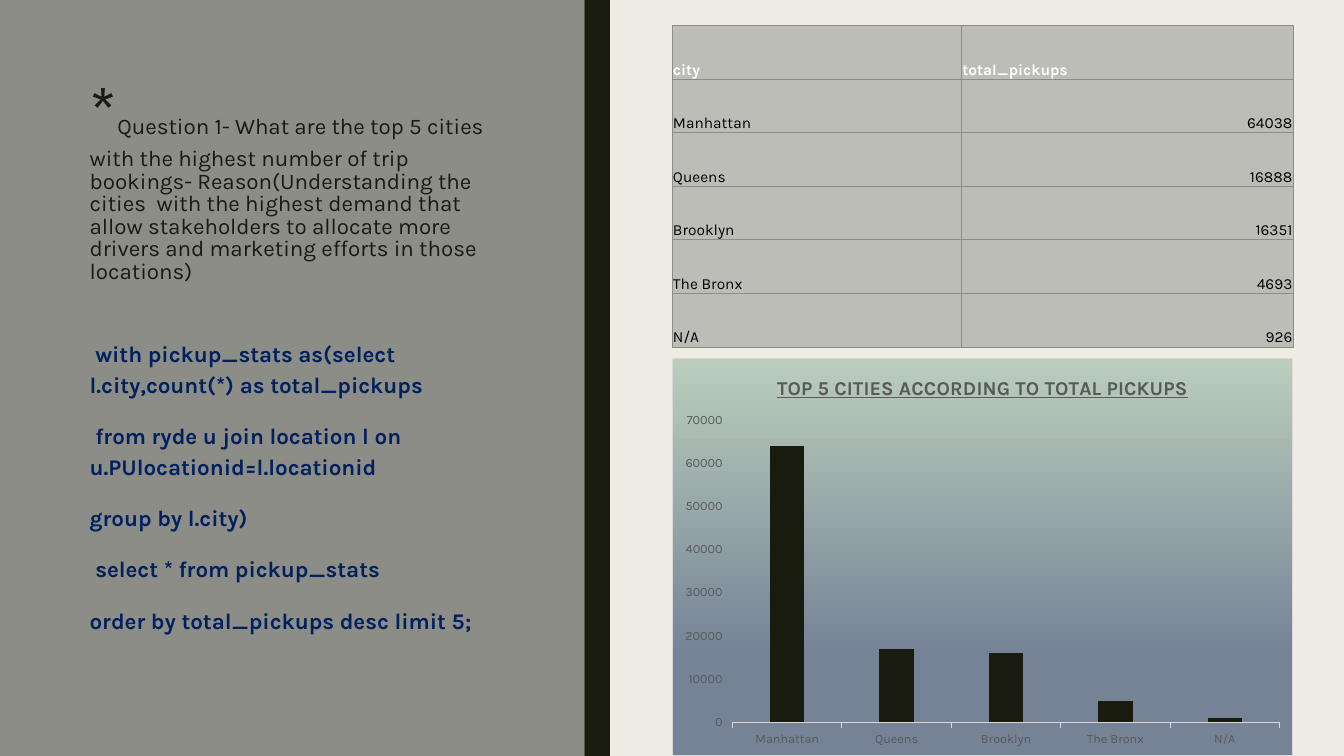
from lxml import etree
from pptx import Presentation
from pptx.chart.data import CategoryChartData
from pptx.dml.color import RGBColor
from pptx.enum.chart import XL_CHART_TYPE, XL_TICK_MARK
from pptx.enum.shapes import MSO_SHAPE
from pptx.enum.text import MSO_ANCHOR, PP_ALIGN
from pptx.oxml import parse_xml
from pptx.oxml.ns import nsdecls, qn
from pptx.util import Cm, Pt

COLUMN = XL_CHART_TYPE.COLUMN_CLUSTERED
TICK_OUT, TICK_NONE = XL_TICK_MARK.OUTSIDE, XL_TICK_MARK.NONE
RECTANGLE = MSO_SHAPE.RECTANGLE
BOTTOM = MSO_ANCHOR.BOTTOM
LEFT, RIGHT = PP_ALIGN.LEFT, PP_ALIGN.RIGHT

# Content
FONT = "Karla"
COLORS = {
    "background": "EFEDE3", "panel": "8C8D86", "dark": "191B0E", "query": "002060",
    "cell": "BCBDB7", "header": "FFFFFF", "value": "000000", "label": "595959",
    "axis": "D9D9D9", "chart_top": "BBCDBB", "chart_bottom": "768397",
}
QUESTION = ("Question 1- What are the top 5 cities with the highest number of trip bookings- "
            "Reason(Understanding the cities  with the highest demand that allow stakeholders "
            "to allocate more drivers and marketing efforts in those locations)")
QUERY = [
    " with pickup_stats as(select l.city,count(*) as total_pickups",
    " from ryde u join location l on u.PUlocationid=l.locationid",
    "group by l.city)",
    " select * from pickup_stats",
    "order by total_pickups desc limit 5;",
]
HEADERS = ("city", "total_pickups")
PICKUPS = [("Manhattan", 64038), ("Queens", 16888), ("Brooklyn", 16351),
           ("The Bronx", 4693), ("N/A", 926)]
CHART_TITLE = "TOP 5 CITIES ACCORDING TO TOTAL PICKUPS"
CHART_VALUES = (64000, 17000, 16000, 5000, 1000)

# Layout in centimetres
SLIDE_WIDTH, SLIDE_HEIGHT = 33.87, 19.05
PANEL_WIDTH, STRIPE_WIDTH = 14.73, 0.64
TEXT_LEFT, TEXT_WIDTH = 2.01, 10.72
DATA_LEFT, COLUMN_WIDTHS = 16.94, (7.29, 8.36)
DATA_WIDTH = sum(COLUMN_WIDTHS)
TABLE_TOP, ROW_HEIGHT = 0.64, 1.35
CHART_TOP = 9.03
CHART_HEIGHT = SLIDE_HEIGHT - CHART_TOP
PLOT_LEFT, PLOT_TOP, PLOT_WIDTH, PLOT_HEIGHT = 1.51, 1.55, 13.81, 7.63


def rgb(name):
    return RGBColor.from_string(COLORS[name])


def style_font(font, size, color, bold=False):
    font.name, font.size, font.bold = FONT, Pt(size), bold
    font.color.rgb = rgb(color)


def add_run(paragraph, text, size, color, bold=False):
    run = paragraph.add_run()
    run.text = text
    style_font(run.font, size, color, bold)
    return run


def add_block(slide, left, width, color):
    shape = slide.shapes.add_shape(RECTANGLE, Cm(left), 0, Cm(width), Cm(SLIDE_HEIGHT))
    shape.shadow.inherit = False
    shape.fill.solid()
    shape.fill.fore_color.rgb = rgb(color)
    shape.line.fill.background()


def add_text_frame(slide, top, height):
    box = slide.shapes.add_textbox(Cm(TEXT_LEFT), Cm(top), Cm(TEXT_WIDTH), Cm(height))
    box.text_frame.word_wrap = True
    return box.text_frame


def add_cell_borders(cell):
    properties = cell._tc.get_or_add_tcPr()
    for position, side in enumerate(("lnL", "lnR", "lnT", "lnB")):
        properties.insert(position, parse_xml(
            f'<a:{side} {nsdecls("a")} w="6350"><a:solidFill>'
            f'<a:srgbClr val="{COLORS["panel"]}"/></a:solidFill></a:{side}>'))


def add_pickup_chart(slide):
    data = CategoryChartData()
    data.categories = [city for city, _ in PICKUPS]
    data.add_series("total_pickups", CHART_VALUES)
    chart = slide.shapes.add_chart(COLUMN, Cm(DATA_LEFT), Cm(CHART_TOP), Cm(DATA_WIDTH),
                                   Cm(CHART_HEIGHT), data).chart
    style_font(chart.font, 10, "value")
    chart.has_legend = False
    chart.has_title = True
    title = chart.chart_title.text_frame.paragraphs[0]
    add_run(title, CHART_TITLE, 14, "label", True).font.underline = True

    # Columns and axes
    plot = chart.plots[0]
    plot.gap_width, plot.overlap, plot.vary_by_categories = 219, -27, False
    series_fill = plot.series[0].format.fill
    series_fill.solid()
    series_fill.fore_color.rgb = rgb("dark")
    for axis in (chart.category_axis, chart.value_axis):
        style_font(axis.tick_labels.font, 9, "label")
        axis.has_major_gridlines = False
        axis.major_tick_mark, axis.minor_tick_mark = TICK_OUT, TICK_NONE
    chart.category_axis.format.line.color.rgb = rgb("axis")
    chart.category_axis.format.line.width = Pt(0.75)
    chart.value_axis.format.line.fill.background()
    chart.value_axis.minimum_scale, chart.value_axis.maximum_scale = 0, 70000
    chart.value_axis.major_unit = 10000

    # Plot position as shares of the chart
    plot_area = chart._chartSpace.chart.plotArea
    for old_layout in plot_area.findall(qn("c:layout")):
        plot_area.remove(old_layout)
    layout = etree.Element(qn("c:layout"))
    manual = etree.SubElement(layout, qn("c:manualLayout"))
    settings = {"layoutTarget": "inner", "xMode": "edge", "yMode": "edge",
                "x": PLOT_LEFT / DATA_WIDTH, "y": PLOT_TOP / CHART_HEIGHT,
                "w": PLOT_WIDTH / DATA_WIDTH, "h": PLOT_HEIGHT / CHART_HEIGHT}
    for name, value in settings.items():
        etree.SubElement(manual, qn(f"c:{name}")).set("val", str(value))
    plot_area.insert(0, layout)

    # Gradient background and border
    stops = "".join(f'<a:gs pos="{position}"><a:srgbClr val="{COLORS[name]}"/></a:gs>'
                    for position, name in ((0, "chart_top"), (75000, "chart_bottom"),
                                           (100000, "chart_bottom")))
    chart._chartSpace.chart.addnext(parse_xml(
        f'<c:spPr {nsdecls("c", "a")}><a:gradFill><a:gsLst>{stops}</a:gsLst>'
        f'<a:lin ang="5400000" scaled="0"/></a:gradFill><a:ln w="9525"><a:solidFill>'
        f'<a:srgbClr val="{COLORS["axis"]}"/></a:solidFill></a:ln></c:spPr>'))


def add_pickup_table(slide):
    rows = [HEADERS, *PICKUPS]
    table = slide.shapes.add_table(len(rows), len(HEADERS), Cm(DATA_LEFT), Cm(TABLE_TOP),
                                   Cm(DATA_WIDTH), Cm(ROW_HEIGHT * len(rows))).table
    for column, width in zip(table.columns, COLUMN_WIDTHS):
        column.width = Cm(width)
    for row_index, values in enumerate(rows):
        table.rows[row_index].height = Cm(ROW_HEIGHT)
        is_header = row_index == 0
        for column_index, value in enumerate(values):
            cell = table.cell(row_index, column_index)
            cell.fill.solid()
            cell.fill.fore_color.rgb = rgb("cell")
            cell.vertical_anchor = BOTTOM
            cell.margin_left = cell.margin_right = cell.margin_top = Cm(0.02)
            cell.margin_bottom = 0
            paragraph = cell.text_frame.paragraphs[0]
            paragraph.alignment = RIGHT if column_index and not is_header else LEFT
            add_run(paragraph, str(value), 11, "header" if is_header else "value", is_header)
            add_cell_borders(cell)


def main():
    presentation = Presentation()
    presentation.slide_width, presentation.slide_height = Cm(SLIDE_WIDTH), Cm(SLIDE_HEIGHT)
    slide = presentation.slides.add_slide(presentation.slide_layouts[6])
    slide.background.fill.solid()
    slide.background.fill.fore_color.rgb = rgb("background")

    # Left panel and stripe
    add_block(slide, 0, PANEL_WIDTH, "panel")
    add_block(slide, PANEL_WIDTH, STRIPE_WIDTH, "dark")

    # Question
    paragraph = add_text_frame(slide, 1.91, 6).paragraphs[0]
    paragraph.line_spacing = 0.84
    add_run(paragraph, "*", 48, "dark")
    add_run(paragraph, QUESTION, 16, "dark")

    # Query
    frame = add_text_frame(slide, 8.37, 10.41)
    for index, line in enumerate(QUERY):
        paragraph = frame.add_paragraph() if index else frame.paragraphs[0]
        paragraph.line_spacing, paragraph.space_after = 1.13, Pt(15)
        add_run(paragraph, line, 16, "query", True)

    add_pickup_chart(slide)
    add_pickup_table(slide)
    presentation.save("out.pptx")


if __name__ == "__main__":
    main()
